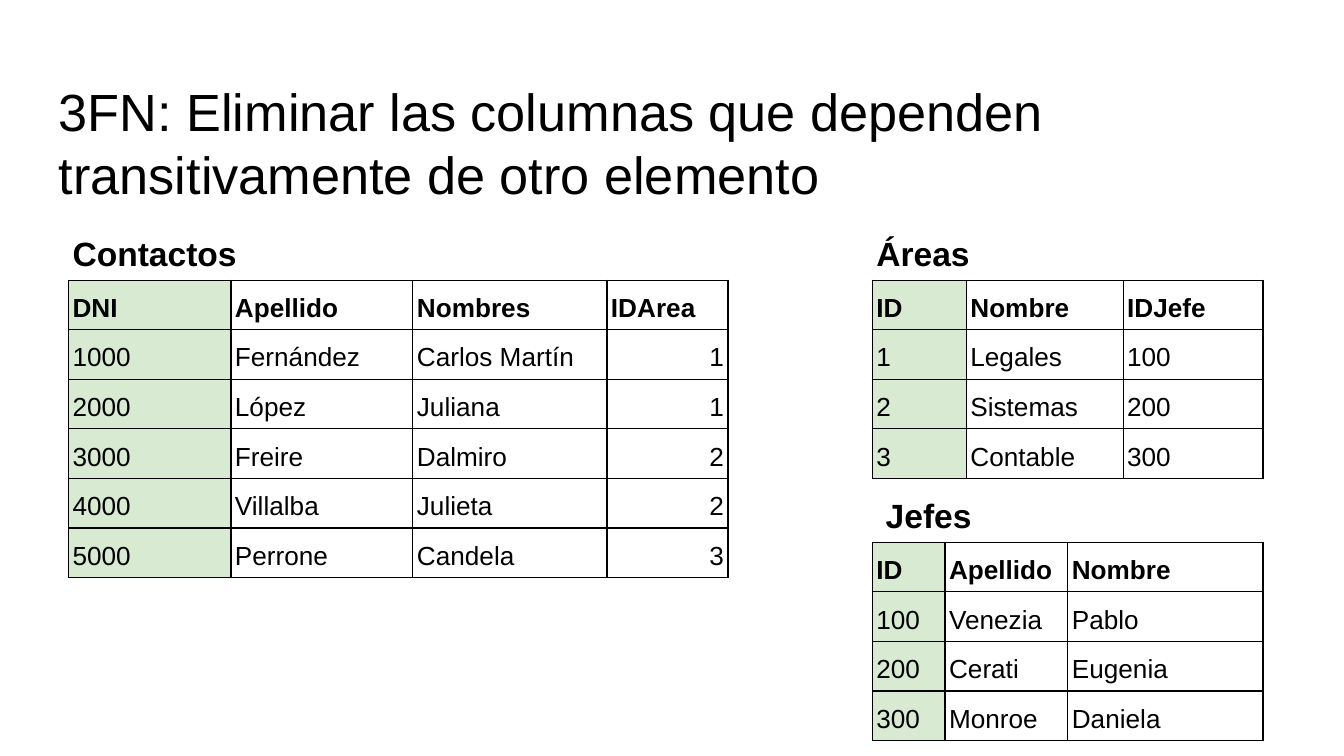
from pptx import Presentation
from pptx.dml.color import RGBColor
from pptx.enum.text import MSO_ANCHOR, PP_ALIGN
from pptx.oxml.ns import qn
from pptx.util import Pt
from lxml.etree import SubElement

COLORS = {"ink": "000000", "key": "D9EAD3"}


class Deck:
    font = "Arial"
    line = 0.75

    def __init__(self, wide, high):
        self.prs = Presentation()
        self.prs.slide_width, self.prs.slide_height = Pt(wide), Pt(high)
        self.slide = self.prs.slides.add_slide(self.prs.slide_layouts[6])

    def style(self, para, size, bold=False):
        for run in para.runs:
            font = run.font
            font.name, font.size, font.bold = self.font, Pt(size), bold
            font.color.rgb = RGBColor.from_string(COLORS["ink"])

    def title(self, text, left, top, wide, high):
        box = self.slide.shapes.add_textbox(Pt(left), Pt(top), Pt(wide), Pt(high))
        frame = box.text_frame
        frame.word_wrap = True
        frame.margin_left = frame.margin_right = Pt(7.2)
        frame.margin_top = frame.margin_bottom = Pt(7.2)
        frame.text = text
        self.style(frame.paragraphs[0], 28)

    def border(self, cell, sides):
        props = cell._tc.get_or_add_tcPr()
        for side in "LRTB":
            edge = SubElement(props, qn("a:ln" + side), w=str(Pt(self.line)))
            if side in sides:
                fill = SubElement(edge, qn("a:solidFill"))
                SubElement(fill, qn("a:srgbClr"), val=COLORS["ink"])
            else:
                SubElement(edge, qn("a:noFill"))

    def cell(self, cell, text, size, bold, inset=2.16, right=False):
        cell.margin_left = cell.margin_right = Pt(inset)
        cell.margin_top = cell.margin_bottom = Pt(3.6)
        cell.vertical_anchor = MSO_ANCHOR.BOTTOM
        cell.text_frame.text = text
        para = cell.text_frame.paragraphs[0]
        para.line_spacing = 1.15
        para.alignment = PP_ALIGN.RIGHT if right else PP_ALIGN.LEFT
        self.style(para, size, bold)

    def table(self, name, rows, left, top, cols, head, step, inset=2.16, right=None):
        high = head + step * len(rows)
        grid = self.slide.shapes.add_table(
            len(rows) + 1, len(cols), Pt(left), Pt(top), Pt(sum(cols)), Pt(high)).table
        grid.first_row = grid.horz_banding = False
        for col, wide in zip(grid.columns, cols):
            col.width = Pt(wide)
        for i, row in enumerate(grid.rows):
            row.height = Pt(step if i else head)

        # Name row, open on three sides
        for cell in grid.rows[0].cells:
            self.border(cell, "B")
            cell.fill.background()
        grid.cell(0, 0).merge(grid.cell(0, len(cols) - 1))
        self.cell(grid.cell(0, 0), name, 18, True, inset)

        # Header and data rows, key column tinted
        for i, row in enumerate(rows, 1):
            for j, text in enumerate(row):
                cell = grid.cell(i, j)
                self.cell(cell, text, 14, i == 1, right=i > 1 and j == right)
                self.border(cell, "LRTB")
                if j == 0:
                    cell.fill.solid()
                    cell.fill.fore_color.rgb = RGBColor.from_string(COLORS["key"])
                else:
                    cell.fill.background()


def main():
    deck = Deck(720, 405)
    deck.title("3FN: Eliminar las columnas que dependen transitivamente de otro elemento",
               24.5, 35.3, 671, 45.4)

    # Contacts
    deck.table("Contactos", [
        ("DNI", "Apellido", "Nombres", "IDArea"),
        ("1000", "Fernández", "Carlos Martín", "1"),
        ("2000", "López", "Juliana", "1"),
        ("3000", "Freire", "Dalmiro", "2"),
        ("4000", "Villalba", "Julieta", "2"),
        ("5000", "Perrone", "Candela", "3"),
    ], 36.7, 118.1, (87, 97.5, 104, 64.8), 27.4, 22.3, right=3)

    # Areas
    deck.table("Áreas", [
        ("ID", "Nombre", "IDJefe"),
        ("1", "Legales", "100"),
        ("2", "Sistemas", "200"),
        ("3", "Contable", "300"),
    ], 467.3, 118.1, (50.4, 84, 75), 27.4, 22.3)

    # Managers
    deck.table("Jefes", [
        ("ID", "Apellido", "Nombre"),
        ("100", "Venezia", "Pablo"),
        ("200", "Cerati", "Eugenia"),
        ("300", "Monroe", "Daniela"),
    ], 467.3, 258.5, (39, 65.8, 104.6), 25.9, 21, inset=7.2)

    deck.prs.save("out.pptx")


if __name__ == "__main__":
    main()
